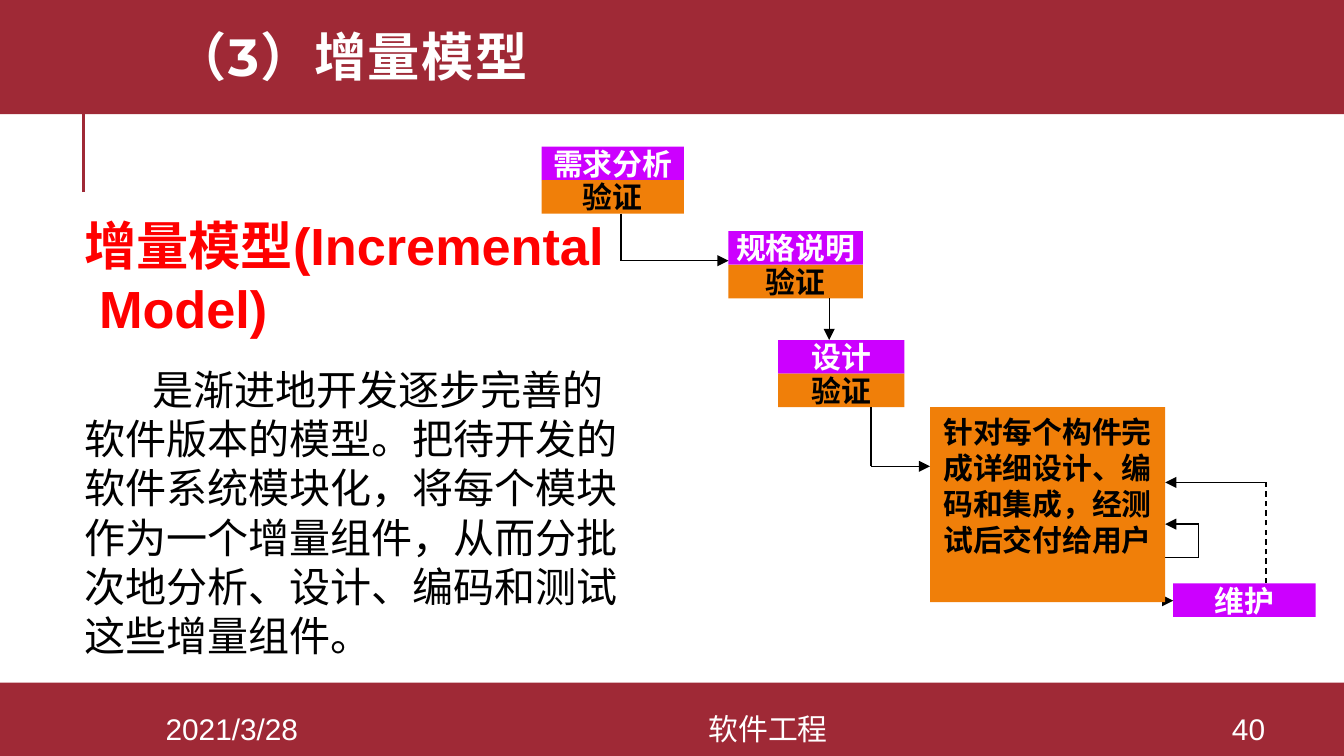
from dataclasses import dataclass
from itertools import pairwise

from lxml import etree
from pptx import Presentation, util as u
from pptx.dml.color import RGBColor
from pptx.enum import dml, shapes, text
from pptx.oxml.ns import qn


class Theme:
    wine, violet, orange = "9F2936", "CC00FF", "F07F09"
    red, black, white = "FF0000", "000000", "FFFFFF"
    head, body, label = 28, 22, 16
    font, title = "Arial", "Montserrat"


@dataclass
class Grid:
    """A box cut into columns and rows of a fixed size, in inches."""
    left: float
    top: float
    col: float
    row: float

    def at(self, c, r):
        return u.Inches(self.left + c * self.col), u.Inches(self.top + r * self.row)

    def box(self, c, r, w, h):
        return *self.at(c, r), u.Inches(w * self.col), u.Inches(h * self.row)


def style(para, size, color, bold=False, font=Theme.font):
    para.font.name, para.font.size, para.font.bold = font, u.Pt(size), bold
    para.font.color.rgb = RGBColor.from_string(color)


def rect(slide, box, fill):
    shape = slide.shapes.add_shape(shapes.MSO_SHAPE.RECTANGLE, *box)
    shape.shadow.inherit = False
    shape.fill.solid()
    shape.fill.fore_color.rgb = RGBColor.from_string(fill)
    shape.line.fill.background()
    return shape


def line(slide, start, end, color=Theme.black, width=0.75, dash=False, arrow=False):
    conn = slide.shapes.add_connector(shapes.MSO_CONNECTOR.STRAIGHT, *start, *end)
    conn.line.color.rgb = RGBColor.from_string(color)
    conn.line.width = u.Pt(width)
    if dash:
        conn.line.dash_style = dml.MSO_LINE.DASH
    if arrow:
        etree.SubElement(conn.line._get_or_add_ln(), qn("a:tailEnd"), type="triangle")
    etree.SubElement(conn._element.spPr, qn("a:effectLst"))


def route(slide, grid, points, dash=False):
    """Join grid points; the last leg has an arrow, the first may be dashed."""
    legs = list(pairwise(points))
    for i, (a, b) in enumerate(legs):
        line(slide, grid.at(*a), grid.at(*b),
             dash=dash and i == 0, arrow=i == len(legs) - 1)


def tag(slide, box, words, fill, color):
    frame = rect(slide, box, fill).text_frame
    frame.word_wrap = False
    frame.vertical_anchor = text.MSO_ANCHOR.MIDDLE
    para = frame.paragraphs[0]
    para.text, para.alignment = words, text.PP_ALIGN.CENTER
    style(para, Theme.label, color, True)


def note(slide, box, words, anchor=text.MSO_ANCHOR.MIDDLE):
    frame = slide.shapes.add_textbox(*box).text_frame
    frame.word_wrap = True
    frame.vertical_anchor = anchor
    frame.paragraphs[0].text = words
    return frame


def header(slide, grid):
    line(slide, grid.at(6.2, 14.3), grid.at(6.2, 6.8), Theme.wine, 1.5)
    rect(slide, grid.box(0, -0.3, 100, 8.8), Theme.wine)
    para = note(slide, grid.box(12, 0, 84.9, 9.1), "（3）增量模型").paragraphs[0]
    para.line_spacing = 0.8
    style(para, Theme.head, Theme.white, True, Theme.title)
    para.runs[0].font._element.set("spc", "80")


def footer(slide, grid):
    rect(slide, grid.box(0, 0, 100, 5.45), Theme.wine)
    for c, w, words in ((8.4, 17.7, "2021/3/28"), (26.1, 62.1, "软件工程"),
                        (88.9, 8, "40")):
        para = note(slide, grid.box(c, 2.3, w, 2.3), words).paragraphs[0]
        para.alignment = text.PP_ALIGN.CENTER
        style(para, Theme.label, Theme.white)


def indent(para, left, first):
    props = para._p.get_or_add_pPr()
    props.set("marL", str(u.Inches(left)))
    props.set("indent", str(u.Inches(first)))


def story(slide, grid):
    frame = note(slide, grid.box(0, 0, 42.4, 34.6),
                 "增量模型(Incremental Model)", text.MSO_ANCHOR.TOP)
    head = frame.paragraphs[0]
    indent(head, 0.11, -0.11)
    style(head, Theme.head, Theme.red, True)
    body = frame.add_paragraph()
    body.text = ("是渐进地开发逐步完善的软件版本的模型。把待开发的软件系统模块化，"
                 "将每个模块作为一个增量组件，从而分批次地分析、设计、编码和测试这些增量组件。")
    body.space_before = u.Pt(13.5)
    indent(body, 0, 0.51)
    style(body, Theme.body, Theme.black)


def flow(slide, grid):
    for c, r, w, name in ((0, 0, 10.6, "需求分析"), (13.9, 2.52, 10, "规格说明"),
                          (17.6, 5.76, 9.4, "设计")):
        tag(slide, grid.box(c, r, w, 1), name, Theme.violet, Theme.white)
        tag(slide, grid.box(c, r + 1, w, 1), "验证", Theme.orange, Theme.black)
    tag(slide, grid.box(47, 13, 10.6, 1), "维护", Theme.violet, Theme.white)

    edge = 46.4
    route(slide, grid, [(5.9, 2), (5.9, 3.4), (13.9, 3.4)])
    route(slide, grid, [(21.4, 4.52), (21.4, 5.76)])
    route(slide, grid, [(24.5, 7.76), (24.5, 9.52), (28.9, 9.52)])
    route(slide, grid, [(42, 13.52), (47, 13.52)])
    route(slide, grid, [(edge, 12.24), (48.9, 12.24), (48.9, 11.24), (edge, 11.24)])
    route(slide, grid, [(53.9, 13), (53.9, 10), (edge, 10)], dash=True)

    frame = rect(slide, grid.box(28.9, 7.76, 17.5, 5.8), Theme.orange).text_frame
    frame.word_wrap = True
    frame.vertical_anchor = text.MSO_ANCHOR.TOP
    para = frame.paragraphs[0]
    para.text = "针对每个构件完成详细设计、编码和集成，经测试后交付给用户"
    para.alignment = text.PP_ALIGN.CENTER
    style(para, Theme.label, Theme.black, True)


def main():
    deck = Presentation()
    deck.slide_width = u.Inches(10)
    deck.slide_height = deck.slide_width * 9 // 16
    slide = deck.slides.add_slide(deck.slide_layouts[6])
    header(slide, Grid(0, 0, 0.1, 0.1))
    footer(slide, Grid(0, 5.08, 0.1, 0.1))
    story(slide, Grid(0.53, 1.54, 0.1, 0.1))
    flow(slide, Grid(4.03, 1.09, 0.1, 0.25))
    deck.save("out.pptx")


if __name__ == "__main__":
    main()
